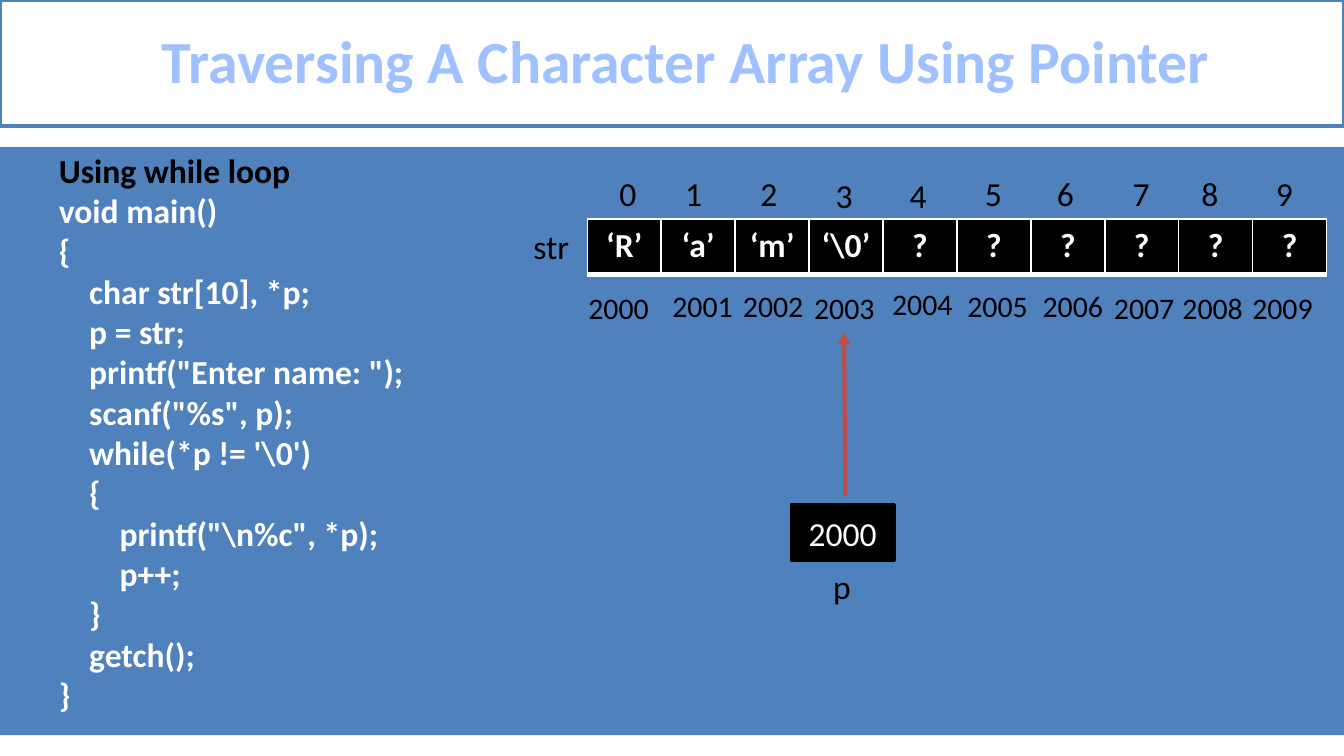
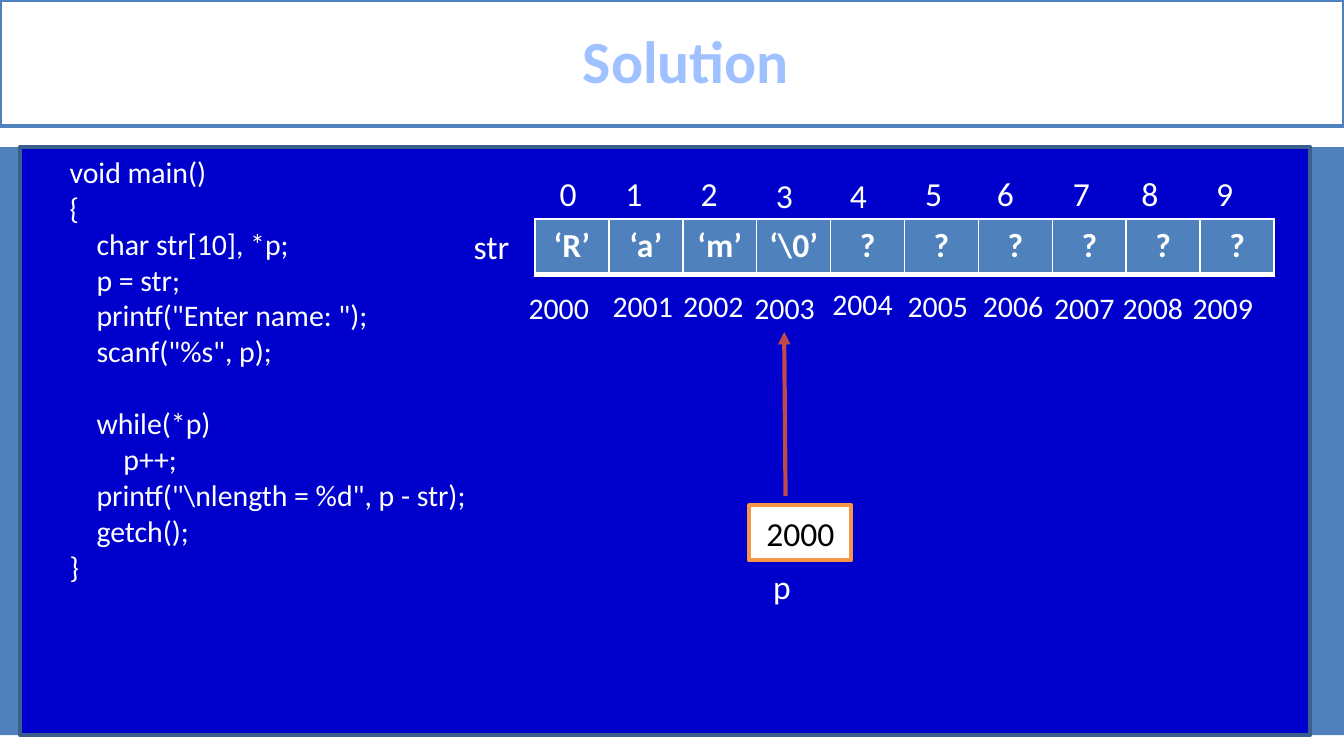
from dataclasses import dataclass

from lxml import etree
from pptx import Presentation
from pptx import util as u
from pptx.dml.color import RGBColor
from pptx.enum import shapes, text
from pptx.oxml import parse_xml
from pptx.oxml.ns import nsdecls, qn

PX = 4572  # EMU, 200 px to the inch
PAGE_WIDTH, PAGE_HEIGHT = 2000, 1125


@dataclass(frozen=True)
class Theme:
    font: str = "Calibri"
    white: str = "FFFFFF"
    black: str = "000000"
    blue: str = "4F81BD"
    navy: str = "0000CC"
    navy_edge: str = "3A5F8C"
    orange: str = "F79646"
    arrow: str = "BF4C48"
    title_outline: str = "467AB8"
    title_stops: tuple[tuple[int, str], ...] = (
        (0, "BFD3F9"), (9, "A0C1FF"), (50, "003D85"), (79, "A0C1FF"), (100, "BFD3F9"))
    title_size: int = 32
    body_size: int = 18
    small_size: int = 16


THEME = Theme()


@dataclass(frozen=True)
class Area:
    left: int
    top: int
    width: int
    height: int

    def emu(self) -> tuple[int, ...]:
        return tuple(n * PX for n in (self.left, self.top, self.width, self.height))


@dataclass(frozen=True)
class Listing:
    area: Area
    code: str
    size: int
    margin: int
    indent: int = 0
    bold: bool = False
    heading: str = ""


@dataclass(frozen=True)
class Diagram:
    shift: int  # moves labels and arrow
    table_left: int
    pointer_left: int
    ink: str
    cell_fill: str
    pointer_fill: str
    pointer_line: str
    pointer_ink: str


@dataclass(frozen=True)
class Lesson:
    title: str
    listing: Listing
    diagram: Diagram
    panel: Area | None = None


BAND = Area(0, 219, PAGE_WIDTH, 875)
TITLE = Area(0, 0, PAGE_WIDTH, 188)
CELLS = ("‘R’", "‘a’", "‘m’", r"‘\0’") + ("?",) * 6
CELL_WIDTH, CELL_HEIGHT, CELL_TOP = 110, 82, 326
INDEX_LEFTS = (902, 1000, 1112, 1224, 1334, 1446, 1553, 1666, 1768, 1879)
INDEX_TOPS = (248, 248, 248, 250, 250, 248, 248, 248, 248, 248)
ADDRESS_LEFTS = (856, 981, 1086, 1192, 1308, 1420, 1532, 1638, 1740, 1844)
ADDRESS_TOPS = (421, 418, 418, 421, 416, 418, 418, 421, 421, 421)
FIRST_ADDRESS = 2000

TRAVERSE_CODE = r"""void main()
{
    char str[10], *p;
    p = str;
    printf("Enter name: ");
    scanf("%s", p);
    while(*p != '\0')
    {
        printf("\n%c", *p);
        p++;
    }
    getch();
}"""

LENGTH_CODE = r"""void main()
{
    char str[10], *p;
    p = str;
    printf("Enter name: ");
    scanf("%s", p);

    while(*p)
        p++;
    printf("\nlength = %d", p - str);
    getch();
}"""

LESSONS = (
    Lesson(
        "Traversing A Character Array Using Pointer",
        Listing(Area(-32, 213, 2000, 868), TRAVERSE_CODE, THEME.body_size,
                margin=100, bold=True, heading="Using while loop"),
        Diagram(0, 874, 1178, THEME.black, THEME.black,
                THEME.black, THEME.black, THEME.white),
    ),
    Lesson(
        "Solution",
        Listing(Area(-16, 219, 968, 666), LENGTH_CODE, THEME.small_size,
                margin=175, indent=-75),
        Diagram(-89, 796, 1115, THEME.white, THEME.blue,
                THEME.white, THEME.orange, THEME.black),
        panel=Area(30, 219, 1920, 875),
    ),
)


def rgb(color: str) -> RGBColor:
    return RGBColor.from_string(color)


def add_span(para, words: str, size: int, color: str, bold: bool = False):
    span = para.add_run()
    span.text = words
    span.font.name = THEME.font
    span.font.size = u.Pt(size)
    span.font.bold = bold
    span.font.color.rgb = rgb(color)
    return span


def paint(shape, fill: str, line: str | None = None) -> None:
    shape.fill.solid()
    shape.fill.fore_color.rgb = rgb(fill)
    if line:
        shape.line.color.rgb = rgb(line)
        shape.line.width = u.Pt(2)
    else:
        shape.line.fill.background()


def add_rect(page, area: Area, fill: str, line: str | None = None):
    rect = page.shapes.add_shape(shapes.MSO_SHAPE.RECTANGLE, *area.emu())
    rect.shadow.inherit = False
    paint(rect, fill, line)
    return rect


def add_label(page, words: str, area: Area, size: int, color: str) -> None:
    box = page.shapes.add_textbox(*area.emu())
    box.text_frame.word_wrap = False
    box.text_frame.auto_size = text.MSO_AUTO_SIZE.SHAPE_TO_FIT_TEXT
    add_span(box.text_frame.paragraphs[0], words, size, color)


def set_indent(para, margin: int, indent: int = 0) -> None:
    properties = para._p.get_or_add_pPr()
    properties.set("marL", str(margin * PX))
    properties.set("indent", str(indent * PX))


def fill_title(page, words: str) -> None:
    box = page.shapes.title
    box.left, box.top, box.width, box.height = TITLE.emu()
    paint(box, THEME.white, THEME.blue)
    box.text_frame.vertical_anchor = text.MSO_ANCHOR.MIDDLE
    para = box.text_frame.paragraphs[0]
    set_indent(para, 42)
    para.alignment = text.PP_ALIGN.CENTER
    para.line_spacing = 0.96
    para.space_before = u.Pt(0)
    span = add_span(para, words, THEME.title_size, THEME.blue, bold=True)
    style_title_letters(span)


def style_title_letters(span) -> None:
    """Swap the plain colour for an outline and a vertical gradient."""
    properties = span._r.get_or_add_rPr()
    properties.remove(properties.find(qn("a:solidFill")))
    stops = "".join(f'<a:gs pos="{place * 1000}"><a:srgbClr val="{color}"/></a:gs>'
                    for place, color in THEME.title_stops)
    outline = (f'<a:ln {nsdecls("a")} w="{int(u.Pt(0.83))}"><a:solidFill>'
               f'<a:srgbClr val="{THEME.title_outline}"/></a:solidFill></a:ln>')
    gradient = (f'<a:gradFill {nsdecls("a")}><a:gsLst>{stops}</a:gsLst>'
                '<a:lin ang="5400000"/></a:gradFill>')
    properties.insert(0, parse_xml(outline))
    properties.insert(1, parse_xml(gradient))


def add_listing(page, listing: Listing) -> None:
    """Write code line by line; an empty line becomes space before the next."""
    box = page.shapes.add_textbox(*listing.area.emu())
    frame = box.text_frame
    frame.word_wrap = True
    frame.auto_size = text.MSO_AUTO_SIZE.SHAPE_TO_FIT_TEXT
    lines = [(line, THEME.white) for line in listing.code.splitlines()]
    if listing.heading:
        lines.insert(0, (listing.heading, THEME.black))
    after_gap = False
    for number, (line, color) in enumerate(lines):
        if not line:
            after_gap = True
            continue
        para = frame.add_paragraph() if number else frame.paragraphs[0]
        para.level = 1
        set_indent(para, listing.margin, listing.indent)
        if after_gap:
            para.space_before = u.Pt(listing.size * 1.22)
        after_gap = False
        add_span(para, line, listing.size, color, listing.bold)


def set_borders(cell) -> None:
    properties = cell._tc.get_or_add_tcPr()
    for place, (side, width) in enumerate((("L", 1), ("R", 1), ("T", 1), ("B", 3))):
        properties.insert(place, parse_xml(
            f'<a:ln{side} {nsdecls("a")} w="{int(u.Pt(width))}"><a:solidFill>'
            f'<a:srgbClr val="{THEME.white}"/></a:solidFill></a:ln{side}>'))


def add_array(page, left: int, fill: str) -> None:
    area = Area(left, CELL_TOP, CELL_WIDTH * len(CELLS), CELL_HEIGHT)
    table = page.shapes.add_table(1, len(CELLS), *area.emu()).table
    table.first_row = table.horz_banding = False
    for column, words in enumerate(CELLS):
        table.columns[column].width = CELL_WIDTH * PX
        cell = table.cell(0, column)
        cell.margin_left = cell.margin_right = 16 * PX
        cell.margin_top = cell.margin_bottom = 10 * PX
        cell.fill.solid()
        cell.fill.fore_color.rgb = rgb(fill)
        set_borders(cell)
        para = cell.text_frame.paragraphs[0]
        para.alignment = text.PP_ALIGN.CENTER
        add_span(para, words, THEME.body_size, THEME.white, bold=True)


def add_arrow(page, start: tuple[int, int], end: tuple[int, int]) -> None:
    arrow = page.shapes.add_connector(
        shapes.MSO_CONNECTOR.STRAIGHT, *(n * PX for n in start + end))
    arrow.line.color.rgb = rgb(THEME.arrow)
    arrow.line.width = u.Pt(2.25)
    etree.SubElement(arrow.line._get_or_add_ln(), qn("a:tailEnd"), type="triangle")
    etree.SubElement(arrow._element.spPr, qn("a:effectLst"))


def add_diagram(page, diagram: Diagram) -> None:
    shift, ink = diagram.shift, diagram.ink
    add_label(page, "str", Area(774 + shift, 326, 94, 80), THEME.body_size, ink)
    add_array(page, diagram.table_left, diagram.cell_fill)
    for index, (left, top) in enumerate(zip(INDEX_LEFTS, INDEX_TOPS)):
        add_label(page, str(index), Area(left + shift, top, 66, 80),
                  THEME.body_size, ink)
    for index, (left, top) in enumerate(zip(ADDRESS_LEFTS, ADDRESS_TOPS)):
        add_label(page, str(FIRST_ADDRESS + index), Area(left + shift, top, 132, 74),
                  THEME.small_size, ink)

    pointer = add_rect(page, Area(diagram.pointer_left, 752, 152, 82),
                       diagram.pointer_fill, diagram.pointer_line)
    pointer.text_frame.vertical_anchor = text.MSO_ANCHOR.MIDDLE
    para = pointer.text_frame.paragraphs[0]
    para.alignment = text.PP_ALIGN.CENTER
    add_span(para, str(FIRST_ADDRESS), THEME.body_size, diagram.pointer_ink)
    add_label(page, "p", Area(1220 + shift, 833, 68, 80), THEME.body_size, ink)
    add_arrow(page, (1258 + shift, 738), (1256 + shift, 494))


def add_lesson(deck, lesson: Lesson) -> None:
    page = deck.slides.add_slide(deck.slide_layouts.get_by_name("Title Only"))
    add_rect(page, BAND, THEME.blue)
    fill_title(page, lesson.title)
    if lesson.panel:
        add_rect(page, lesson.panel, THEME.navy, THEME.navy_edge)
    add_listing(page, lesson.listing)
    add_diagram(page, lesson.diagram)


def main() -> None:
    deck = Presentation()
    deck.slide_width, deck.slide_height = PAGE_WIDTH * PX, PAGE_HEIGHT * PX
    for lesson in LESSONS:
        add_lesson(deck, lesson)
    deck.save("out.pptx")


if __name__ == "__main__":
    main()
